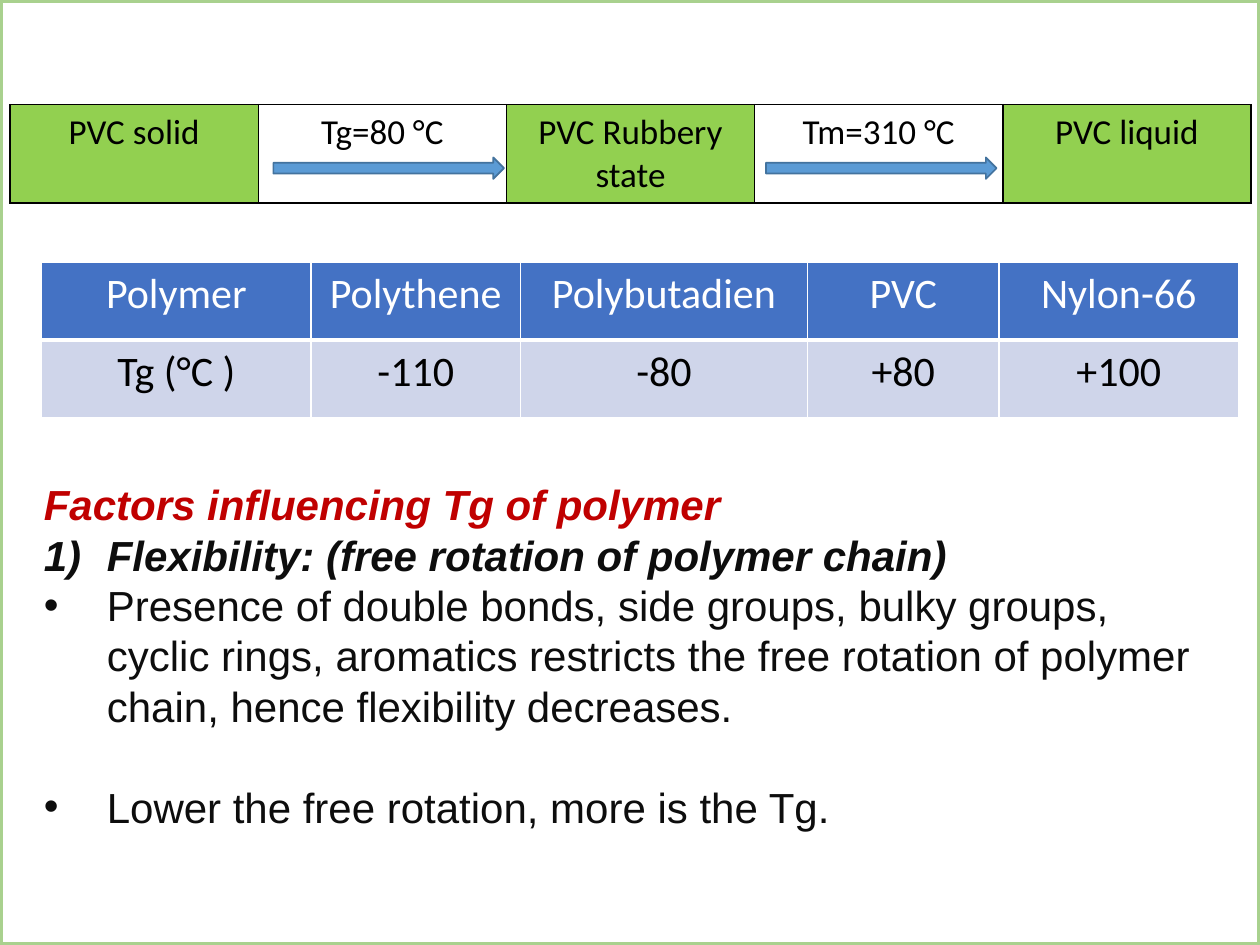
import dataclasses

import pptx
import pptx.dml.color
import pptx.enum.shapes
import pptx.enum.text
import pptx.oxml
import pptx.oxml.ns
import pptx.util

Inches = pptx.util.Inches
Pt = pptx.util.Pt
Shapes = pptx.enum.shapes.MSO_SHAPE


@dataclasses.dataclass(frozen=True)
class Theme:
    table_font: str = "Calibri"
    body_font: str = "Arial"
    stage_size: float = 20
    text_size: float = 24
    line_height: float = 28.8
    black: str = "000000"
    white: str = "FFFFFF"
    stage: str = "92D050"
    header: str = "4472C4"
    band: str = "CFD5EA"
    arrow: str = "5B9BD5"
    arrow_line: str = "43739E"
    frame: str = "A9D18E"
    heading: str = "C00000"
    body: str = "0D0D0D"


def color(value):
    return pptx.dml.color.RGBColor.from_string(value)


class SlideBuilder:
    def __init__(self, slide, theme):
        self.slide = slide
        self.theme = theme

    def run(self, paragraph, text, font, size, text_color, strong=False):
        run = paragraph.add_run()
        run.text = text
        run.font.name = font
        run.font.size = Pt(size)
        run.font.bold = run.font.italic = strong
        run.font.color.rgb = color(text_color)

    def borders(self, cell, border_color, widths):
        properties = cell._tc.get_or_add_tcPr()
        for side, width in zip("LRTB", widths):
            properties.append(pptx.oxml.parse_xml(
                f'<a:ln{side} {pptx.oxml.ns.nsdecls("a")} w="{Pt(width)}">'
                f'<a:solidFill><a:srgbClr val="{border_color}"/></a:solidFill></a:ln{side}>'
            ))

    def table(self, left, top, widths, row_height, rows, size, border_color):
        frame = self.slide.shapes.add_table(
            len(rows), len(widths), Inches(left), Inches(top),
            Inches(sum(widths)), Inches(row_height * len(rows)))
        table = frame.table
        table.first_row = table.horz_banding = False
        for column, width in zip(table.columns, widths):
            column.width = Inches(width)
        for row, (texts, fills, text_color, border_widths) in zip(table.rows, rows):
            row.height = Inches(row_height)
            for cell, text, fill in zip(row.cells, texts, fills):
                self.borders(cell, border_color, border_widths)
                if fill:
                    cell.fill.solid()
                    cell.fill.fore_color.rgb = color(fill)
                else:
                    cell.fill.background()
                paragraph = cell.text_frame.paragraphs[0]
                paragraph.alignment = pptx.enum.text.PP_ALIGN.CENTER
                self.run(paragraph, text, self.theme.table_font, size, text_color)

    def shape(self, kind, left, top, width, height, line, line_width, fill=None):
        shape = self.slide.shapes.add_shape(
            kind, Inches(left), Inches(top), Inches(width), Inches(height))
        shape.shadow.inherit = False
        shape.line.color.rgb = color(line)
        shape.line.width = Pt(line_width)
        if fill:
            shape.fill.solid()
            shape.fill.fore_color.rgb = color(fill)
        else:
            shape.fill.background()

    def bullet(self, paragraph, marker):
        properties = paragraph._p.get_or_add_pPr()
        properties.set("marL", str(Inches(0.5)))
        properties.set("indent", str(-Inches(0.5)))
        namespace = pptx.oxml.ns.nsdecls("a")
        properties.append(pptx.oxml.parse_xml(
            f'<a:buFont {namespace} typeface="{self.theme.body_font}"/>'))
        properties.append(pptx.oxml.parse_xml(f"<a:{marker[0]} {namespace} {marker[1]}/>"))

    def text(self, left, top, width, height, items):
        box = self.slide.shapes.add_textbox(
            Inches(left), Inches(top), Inches(width), Inches(height))
        frame = box.text_frame
        frame.word_wrap = True
        frame.auto_size = pptx.enum.text.MSO_AUTO_SIZE.SHAPE_TO_FIT_TEXT
        for index, (text, text_color, strong, marker, gap) in enumerate(items):
            paragraph = frame.add_paragraph() if index else frame.paragraphs[0]
            paragraph.line_spacing = Pt(self.theme.line_height)
            paragraph.space_before = Pt(gap)
            if marker:
                self.bullet(paragraph, marker)
            self.run(paragraph, text, self.theme.body_font,
                     self.theme.text_size, text_color, strong)


def main():
    theme = Theme()
    presentation = pptx.Presentation()
    presentation.slide_width = Inches(10)
    presentation.slide_height = Inches(7.5)
    slide = presentation.slides.add_slide(presentation.slide_layouts[6])
    builder = SlideBuilder(slide, theme)

    stages = ["PVC solid", "Tg=80 °C", "PVC Rubbery state", "Tm=310 °C", "PVC liquid"]
    stage_fills = [theme.stage, None, theme.stage, None, theme.stage]
    builder.table(0.08, 0.83, [1.97] * 5, 0.77,
                  [(stages, stage_fills, theme.black, [1] * 4)],
                  theme.stage_size, theme.black)
    for left in (2.17, 6.08):
        builder.shape(Shapes.RIGHT_ARROW, left, 1.25, 1.83, 0.17,
                      theme.arrow_line, 1, theme.arrow)

    polymers = ["Polymer", "Polythene", "Polybutadien", "PVC", "Nylon-66"]
    temperatures = ["Tg (°C )", "-110", "-80", "+80", "+100"]
    builder.table(0.33, 2.08, [2.14, 1.66, 2.28, 1.52, 1.9], 0.62,
                  [(polymers, [theme.header] * 5, theme.white, [1, 1, 1, 3]),
                   (temperatures, [theme.band] * 5, theme.black, [1] * 4)],
                  theme.text_size, theme.white)

    number = ("buAutoNum", 'type="arabicParenR"')
    dot = ("buChar", 'char="•"')
    builder.text(0.25, 3.75, 9.5, 2.93, [
        ("Factors influencing Tg of polymer", theme.heading, True, None, 0),
        ("Flexibility: (free rotation of polymer chain)", theme.body, True, number, 0),
        ("Presence of double bonds, side groups, bulky groups, cyclic rings, "
         "aromatics restricts the free rotation of polymer chain, "
         "hence flexibility decreases.", theme.body, False, dot, 0),
        ("Lower the free rotation, more is the Tg.", theme.body, False, dot,
         theme.line_height),
    ])
    builder.shape(Shapes.RECTANGLE, 0, 0, 10, 7.5, theme.frame, 3)
    presentation.save("out.pptx")


if __name__ == "__main__":
    main()
